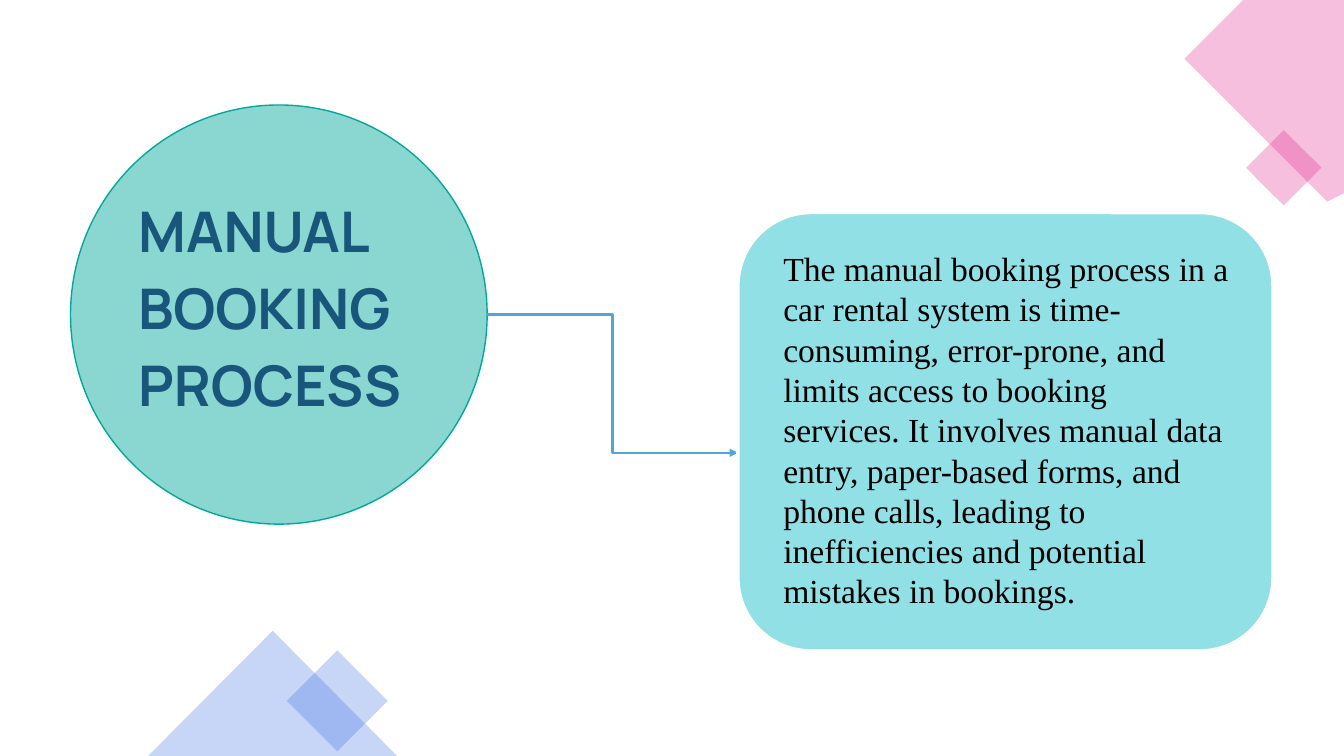
from lxml.etree import SubElement
from pptx import Presentation
from pptx.dml.color import RGBColor
from pptx.enum.shapes import MSO_CONNECTOR, MSO_SHAPE
from pptx.enum.text import MSO_ANCHOR, MSO_AUTO_SIZE, PP_ALIGN
from pptx.oxml.ns import qn
from pptx.util import Inches, Pt

WIDE, HIGH = Inches(13.333), Inches(7.5)
COLS = 160
CELL = WIDE / COLS

PINK = RGBColor(0xE3, 0x2D, 0x91)
BLUE = RGBColor(0x47, 0x75, 0xE7)
TEAL = RGBColor(0x02, 0xA8, 0x9B)
AQUA = RGBColor(0x0D, 0xBC, 0xC9)
NAVY = RGBColor(0x19, 0x56, 0x7C)
SKY = RGBColor(0x4E, 0xA6, 0xDC)
WHITE = RGBColor(0xFF, 0xFF, 0xFF)
BLACK = RGBColor(0, 0, 0)

HEAD = "MANUAL BOOKING PROCESS"
STORY = (
    "The manual booking process in a car rental system is time-consuming, "
    "error-prone, and limits access to booking services. It involves manual "
    "data entry, paper-based forms, and phone calls, leading to "
    "inefficiencies and potential mistakes in bookings."
)
FRAME = {
    "word_wrap": True,
    "auto_size": MSO_AUTO_SIZE.NONE,
    "vertical_anchor": MSO_ANCHOR.TOP,
}


def grid(*cells):
    """Turn grid cells into slide lengths."""
    return [round(cell * CELL) for cell in cells]


def apply(item, values):
    """Set each named value on an item."""
    for name, value in values.items():
        setattr(item, name, value)


def paint(shape, color, alpha, edge=None, width=0):
    """Give a shape a sheer fill and an optional edge."""
    shape.shadow.inherit = False
    shape.fill.solid()
    shape.fill.fore_color.rgb = color
    tint = shape.element.spPr.find(qn("a:solidFill"))[0]
    SubElement(tint, qn("a:alpha"), val=str(alpha * 1000))
    if edge is None:
        shape.line.fill.background()
    else:
        shape.line.color.rgb = edge
        shape.line.width = Pt(width)


def block(slide, kind, box, color, alpha, edge=None, width=0, turn=0):
    """Add a preset shape on the grid."""
    shape = slide.shapes.add_shape(kind, *grid(*box))
    shape.rotation = turn
    paint(shape, color, alpha, edge, width)


def corner(slide, points, color, alpha):
    """Add a closed outline through grid points."""
    start, *rest = points
    pen = slide.shapes.build_freeform(*start, scale=CELL)
    pen.add_line_segments(rest, close=True)
    paint(pen.convert_to_shape(), color, alpha)


def arrow(slide, start, end, color, width):
    """Add an elbow arrow between two grid points."""
    link = slide.shapes.add_connector(MSO_CONNECTOR.ELBOW, *grid(*start, *end))
    link.line.color.rgb = color
    link.line.width = Pt(width)
    SubElement(link.line._get_or_add_ln(), qn("a:tailEnd"), type="triangle")
    SubElement(link.element.spPr, qn("a:effectLst"))


def write(holder, box, text, font, color, space=1.0):
    """Move a placeholder to the front and fill it with text."""
    holder.element.getparent().append(holder.element)
    apply(holder, dict(zip(("left", "top", "width", "height"), grid(*box))))
    holder.text = text
    apply(holder.text_frame, FRAME)
    para = holder.text_frame.paragraphs[0]
    apply(para, {
        "alignment": PP_ALIGN.LEFT,
        "line_spacing": space,
        "space_before": Pt(0),
        "space_after": Pt(6),
    })
    props = para._p.get_or_add_pPr()
    props.set("marL", "0")
    props.set("indent", "0")
    SubElement(props, qn("a:buNone"))
    face = para.runs[0].font
    apply(face, font)
    face.color.rgb = color


def main():
    """Build the slide and save it."""
    deck = Presentation()
    apply(deck, {"slide_width": WIDE, "slide_height": HIGH})
    slide = deck.slides.add_slide(deck.slide_layouts[1])
    title, body = slide.placeholders

    edge = [(COLS, 0), (148.1, 0), (141, 7.1), (158.4, 24.5), (COLS, 22.9)]
    corner(slide, edge, PINK, 30)
    block(slide, MSO_SHAPE.RECTANGLE, (149.65, 16.8, 6.36, 6.36), PINK, 30, turn=45)
    block(slide, MSO_SHAPE.RECTANGLE, (35.9, 79.2, 8.5, 8.5), BLUE, 30, turn=45)
    block(slide, MSO_SHAPE.ISOSCELES_TRIANGLE, (17.64, 75.1, 29.64, 14.9), BLUE, 30)
    block(slide, MSO_SHAPE.FLOWCHART_CONNECTOR, (8.4, 12.5, 49.6, 49.9), TEAL, 46, TEAL, 1)
    arrow(slide, (58, 37.45), (87.85, 53.9), SKY, 1.5)
    block(slide, MSO_SHAPE.ROUNDED_RECTANGLE, (87.85, 25.3, 63.7, 52.2), AQUA, 45, WHITE, 2.5)

    write(title, (15.25, 21.6, 35.9, 38.9), HEAD,
          {"name": "Manrope", "size": Pt(40), "bold": True}, NAVY, 1.15)
    write(body, (92.05, 28.9, 55.45, 49.45), STORY,
          {"name": "Times New Roman", "size": Pt(24)}, BLACK)
    deck.save("out.pptx")


if __name__ == "__main__":
    main()
